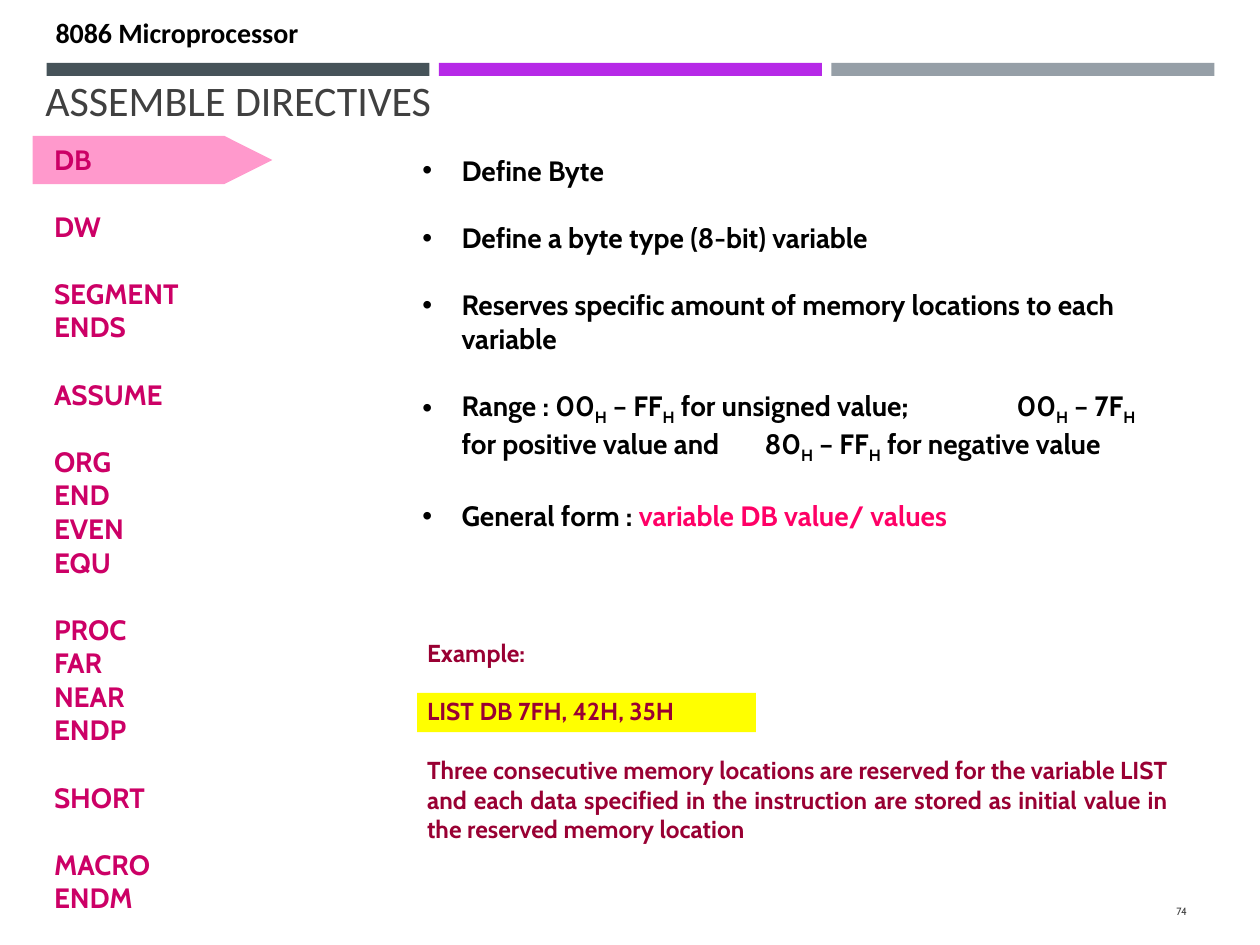
from dataclasses import dataclass

from lxml.etree import SubElement
from pptx import Presentation
from pptx.dml.color import RGBColor
from pptx.enum.shapes import MSO_SHAPE
from pptx.enum.text import MSO_ANCHOR, MSO_AUTO_SIZE, PP_ALIGN
from pptx.oxml.ns import qn
from pptx.util import Cm, Pt


@dataclass(frozen=True)
class Theme:
    """Colours, fonts and type sizes of the deck."""
    bars: tuple = ("465359", "B629E7", "969FA7")
    black: str = "000000"
    grey: str = "404040"
    arrow: str = "FF99CC"
    words: str = "CC0066"
    form: str = "FF0066"
    note: str = "990033"
    mark: str = "FFFF00"
    sans: str = "Calibri"
    text: str = "Cabin"
    title: int = 24
    main: int = 16
    small: int = 14
    tiny: int = 6
    gap: float = 1.2


class Page:
    """Holds the theme and the current slide."""

    def __init__(self, deck, theme):
        """Add a slide with title and body."""
        self.theme = theme
        self.slide = deck.slides.add_slide(deck.slide_layouts[1])

    def place(self, shape, box):
        """Move a shape to a box given in centimetres."""
        names = ("left", "top", "width", "height")
        for name, value in zip(names, box):
            setattr(shape, name, Cm(value))

    def style(self, run, look):
        """Set the font of a run from format values."""
        look = dict(look)
        run.font.color.rgb = RGBColor.from_string(look.pop("fill"))
        base = look.pop("base", None)
        for name, value in look.items():
            setattr(run.font, name, value)
        if base:
            run._r.get_or_add_rPr().set("baseline", str(base))

    def look(self, size, fill, bold=True, name=None):
        """Return the format values of a run."""
        return {"name": name or self.theme.text, "size": Pt(size), "bold": bold, "fill": fill}

    def block(self, kind, box, fill, turn=0):
        """Draw a plain filled shape."""
        shape = self.slide.shapes.add_shape(kind, *map(Cm, box))
        shape.shadow.inherit = False
        shape.fill.solid()
        shape.fill.fore_color.rgb = RGBColor.from_string(fill)
        shape.line.fill.background()
        shape.rotation = turn

    def set_text(self, shape, groups, look, align=PP_ALIGN.LEFT, anchor=MSO_ANCHOR.TOP):
        """Fill a shape with groups of lines, set one line apart."""
        frame = shape.text_frame
        form = {"word_wrap": True, "auto_size": MSO_AUTO_SIZE.NONE, "vertical_anchor": anchor}
        for name, value in form.items():
            setattr(frame, name, value)
        para = None
        for group in groups:
            for row, line in enumerate(group):
                first = para is None
                para = frame.paragraphs[0] if first else frame.add_paragraph()
                para.alignment = align
                para.space_before = Pt(0) if first or row else Pt(look["size"].pt * self.theme.gap)
                text, mark = line if isinstance(line, tuple) else (line, {})
                for spot, part in enumerate(text.split("~")):
                    if part:
                        run = para.add_run()
                        run.text = part
                        self.style(run, {**look, **mark} if spot % 2 else look)

    def label(self, box, groups, look, **form):
        """Add a text box."""
        shape = self.slide.shapes.add_textbox(*map(Cm, box))
        self.set_text(shape, groups, look, **form)

    def title(self, box, text, look):
        """Fill the title placeholder."""
        shape = self.slide.shapes.title
        self.place(shape, box)
        self.set_text(shape, [[text]], look, anchor=MSO_ANCHOR.BOTTOM)

    def points(self, box, lines, look, stops):
        """Fill the body placeholder with a bullet list."""
        shape = self.slide.placeholders[1]
        self.place(shape, box)
        self.set_text(shape, [[line] for line in lines], look)
        for para in shape.text_frame.paragraphs:
            props = para._p.get_or_add_pPr()
            props.set("marL", str(Cm(0.79)))
            props.set("indent", str(Cm(-0.79)))
            tint = SubElement(props, qn("a:buClr"))
            SubElement(tint, qn("a:srgbClr"), val=look["fill"])
            SubElement(props, qn("a:buChar"), char="•")
            tabs = SubElement(props, qn("a:tabLst"))
            for stop in stops:
                SubElement(tabs, qn("a:tab"), pos=str(Cm(stop)), algn="l")


def main():
    """Build the slide and save it."""
    deck = Presentation()
    deck.slide_width, deck.slide_height = Cm(25.4), Cm(19.05)
    theme = Theme()
    page = Page(deck, theme)

    for spot, fill in enumerate(theme.bars):
        page.block(MSO_SHAPE.RECTANGLE, (0.94 + 7.91 * spot, 1.27, 7.72, 0.26), fill)
    page.block(MSO_SHAPE.RECTANGLE, (8.41, 13.97, 6.83, 0.79), theme.mark)
    page.block(MSO_SHAPE.FLOWCHART_OFFPAGE_CONNECTOR, (2.59, 0.81, 0.97, 4.83),
               theme.arrow, turn=270)

    page.title((0.66, 0.18, 22.99, 2.46), "ASSEMBLE DIRECTIVES",
               page.look(theme.title, theme.grey, False, theme.sans))
    page.label((0.18, 0.18, 6.78, 0.94), [["8086 Microprocessor"]],
               page.look(theme.main, theme.black, name=theme.sans), align=PP_ALIGN.CENTER)
    page.label((22, 17.86, 2.18, 1.02), [["74"]], page.look(theme.tiny, theme.grey, False),
               align=PP_ALIGN.RIGHT, anchor=MSO_ANCHOR.MIDDLE)

    lines = [
        "Define Byte",
        "Define a byte type (8-bit) variable",
        "Reserves specific amount of memory locations to each variable",
        ("Range : 00~H~ – FF~H~ for unsigned value;\t00~H~ – 7F~H~ for positive value and"
         "\t80~H~ – FF~H~ for negative value", {"base": -25000}),
        ("General form : ~variable DB value/ values", {"fill": theme.form}),
    ]
    page.points((8.26, 2.97, 15.67, 9.6), lines, page.look(theme.main, theme.black), (6.9, 11.98))

    notes = [
        ["Example:"],
        ["LIST DB 7FH, 42H, 35H"],
        ["Three consecutive memory locations are reserved for the variable LIST and each data "
         "specified in the instruction are stored as initial value in the reserved memory "
         "location"],
    ]
    page.label((8.36, 12.73, 15.44, 4.42), notes, page.look(theme.small, theme.note),
               align=PP_ALIGN.JUSTIFY)

    words = [
        ["DB"],
        ["DW"],
        ["SEGMENT", "ENDS"],
        ["ASSUME"],
        ["ORG", "END", "EVEN", "EQU"],
        ["PROC", "FAR", "NEAR", "ENDP"],
        ["SHORT"],
        ["MACRO", "ENDM"],
    ]
    page.label((0.84, 2.74, 4.14, 15.82), words, page.look(theme.main, theme.words))

    deck.save("out.pptx")


if __name__ == "__main__":
    main()
